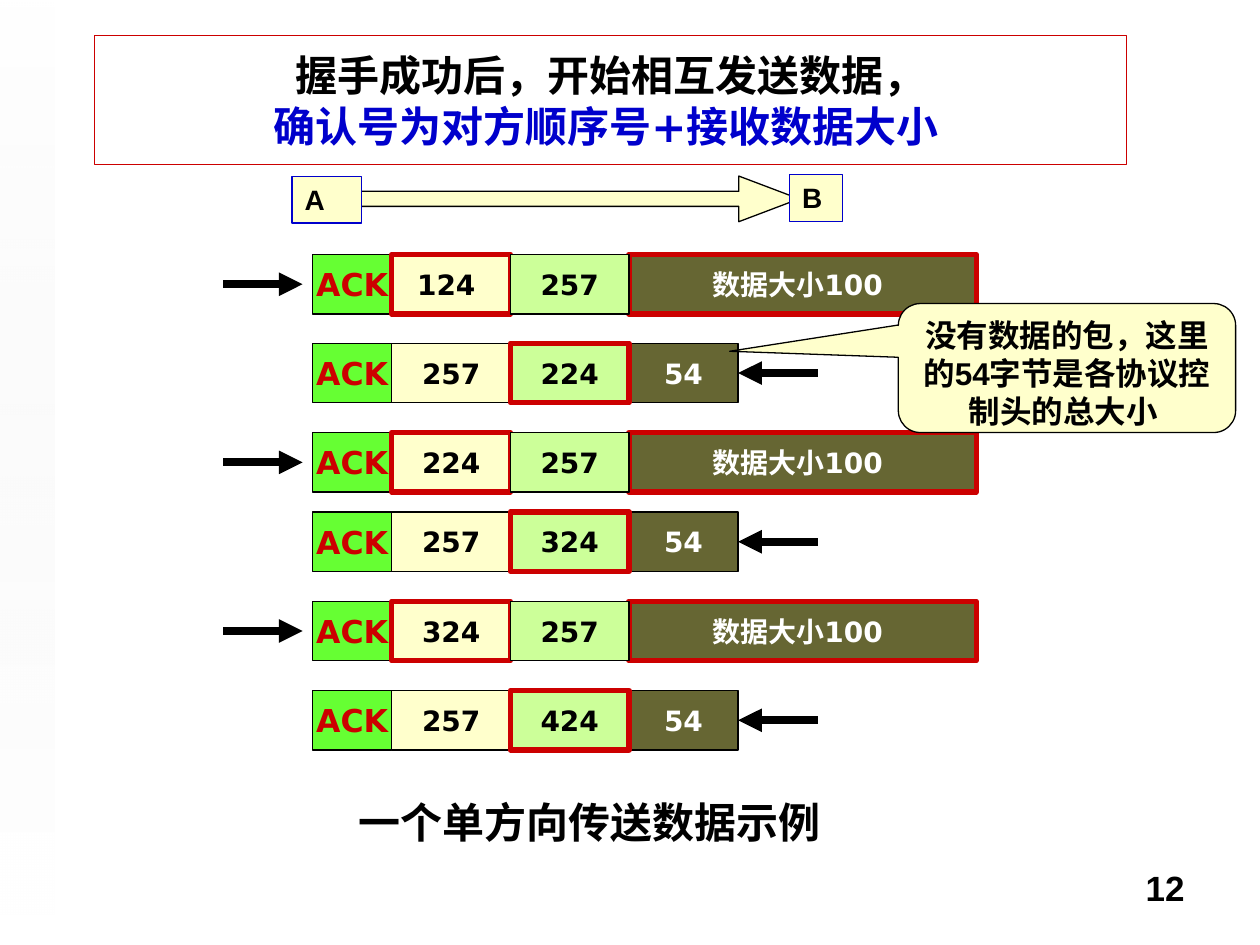
from dataclasses import dataclass

import pptx
import pptx.dml.color
import pptx.enum.shapes
import pptx.enum.text
import pptx.oxml
import pptx.oxml.ns
import pptx.shapes.autoshape
import pptx.shapes.connector
import pptx.slide
import pptx.util
from pptx.dml.color import RGBColor
from pptx.util import Cm

BLACK = RGBColor(0x00, 0x00, 0x00)
WHITE = RGBColor(0xFF, 0xFF, 0xFF)
RED = RGBColor(0xCC, 0x00, 0x00)
BLUE = RGBColor(0x00, 0x00, 0xCC)
CREAM = RGBColor(0xFF, 0xFF, 0xCC)
GREEN = RGBColor(0x66, 0xFF, 0x33)
PALE_GREEN = RGBColor(0xCC, 0xFF, 0x99)
OLIVE = RGBColor(0x66, 0x66, 0x33)
GREY = RGBColor(0xEA, 0xEA, 0xEA)

LATIN = "Arial"
WIDE = "DejaVu Sans"
SHAPES = pptx.enum.shapes.MSO_SHAPE
ANCHOR = pptx.enum.text.MSO_ANCHOR
ALIGN = pptx.enum.text.PP_ALIGN

ACK_LEFT, ACK_WIDTH = 6.3, 1.6
NUMBER_WIDTH = 2.39
SEQUENCE_LEFT = ACK_LEFT + ACK_WIDTH
CONFIRM_LEFT = SEQUENCE_LEFT + NUMBER_WIDTH
DATA_LEFT = CONFIRM_LEFT + NUMBER_WIDTH
ROW_HEIGHT = 1.2
ARROW_LENGTH = 1.6
FORWARD_ARROW_LEFT = 4.5


@dataclass(frozen=True)
class Box:
    left: float
    top: float
    width: float
    height: float


@dataclass(frozen=True)
class TextStyle:
    size: int
    font: str = WIDE
    color: RGBColor = BLACK
    align: ALIGN = ALIGN.CENTER
    anchor: ANCHOR = ANCHOR.MIDDLE
    wrap: bool = False


@dataclass(frozen=True)
class Packet:
    top: float
    sequence: str
    confirm: str
    forward: bool


NUMBER_STYLE = TextStyle(16)
DATA_STYLE = TextStyle(16, color=WHITE)
ACK_STYLE = TextStyle(18, color=RED)
HOST_STYLE = TextStyle(16, LATIN, align=ALIGN.LEFT, anchor=ANCHOR.TOP)

PACKETS = [
    Packet(5.13, "124 ", "257", True),
    Packet(6.92, "257", "224", False),
    Packet(8.72, "224", "257", True),
    Packet(10.32, "257", "324", False),
    Packet(12.12, "324", "257", True),
    Packet(13.92, "257", "424", False),
]


def write_text(shape: pptx.shapes.autoshape.Shape, text: str, style: TextStyle) -> None:
    frame = shape.text_frame
    frame.text = text
    frame.word_wrap = style.wrap
    frame.vertical_anchor = style.anchor
    for paragraph in frame.paragraphs:
        paragraph.alignment = style.align
        for run in paragraph.runs:
            run.font.name = style.font
            run.font.size = pptx.util.Pt(style.size)
            run.font.bold = True
            run.font.color.rgb = style.color


def add_block(slide: pptx.slide.Slide, box: Box, fill: RGBColor, line: RGBColor = BLACK,
              line_width: float = 0.75, kind: SHAPES = SHAPES.RECTANGLE,
              ) -> pptx.shapes.autoshape.Shape:
    shape = slide.shapes.add_shape(
        kind, Cm(box.left), Cm(box.top), Cm(box.width), Cm(box.height))
    shape.shadow.inherit = False
    shape.fill.solid()
    shape.fill.fore_color.rgb = fill
    shape.line.color.rgb = line
    shape.line.width = pptx.util.Pt(line_width)
    return shape


def add_label(slide: pptx.slide.Slide, box: Box, text: str, style: TextStyle) -> None:
    shape = slide.shapes.add_textbox(
        Cm(box.left), Cm(box.top), Cm(box.width), Cm(box.height))
    write_text(shape, text, style)


def add_arrow(slide: pptx.slide.Slide, start: float, end: float, y: float,
              ) -> pptx.shapes.connector.Connector:
    arrow = slide.shapes.add_connector(
        pptx.enum.shapes.MSO_CONNECTOR.STRAIGHT, Cm(start), Cm(y), Cm(end), Cm(y))
    arrow.line.color.rgb = BLACK
    arrow.line.width = pptx.util.Pt(4.5)
    line = arrow.line._get_or_add_ln()
    pptx.oxml.ns.qn("a:tailEnd")
    head = line.makeelement(pptx.oxml.ns.qn("a:tailEnd"), {"type": "triangle"})
    line.append(head)
    properties = arrow._element.spPr
    properties.append(properties.makeelement(pptx.oxml.ns.qn("a:effectLst"), {}))
    return arrow


def add_packet(slide: pptx.slide.Slide, packet: Packet) -> None:
    marked, plain = (RED, 3), (BLACK, 0.75)
    forward = packet.forward
    data_width = 7.0 if forward else 2.2
    data_text = "数据大小100 " if forward else "54"
    cells = [
        (DATA_LEFT, data_width, OLIVE, forward, data_text, DATA_STYLE),
        (ACK_LEFT, ACK_WIDTH, GREEN, False, "ACK", ACK_STYLE),
        (SEQUENCE_LEFT, NUMBER_WIDTH, CREAM, forward, packet.sequence, NUMBER_STYLE),
        (CONFIRM_LEFT, NUMBER_WIDTH, PALE_GREEN, not forward, packet.confirm, NUMBER_STYLE),
    ]
    blocks = []
    for left, width, fill, is_marked, text, style in cells:
        box = Box(left, packet.top, width, ROW_HEIGHT)
        block = add_block(slide, box, fill, *(marked if is_marked else plain))
        write_text(block, text, style)
        blocks.append(block)

    middle = packet.top + ROW_HEIGHT / 2
    if forward:
        add_arrow(slide, FORWARD_ARROW_LEFT, FORWARD_ARROW_LEFT + ARROW_LENGTH, middle)
    else:
        data_right = DATA_LEFT + data_width
        arrow = add_arrow(slide, data_right + ARROW_LENGTH, data_right, middle)
        arrow.end_connect(blocks[0], 3)


def add_side_band(slide: pptx.slide.Slide) -> None:
    band = add_block(slide, Box(0, 0, 1.1, 18.44), WHITE)
    band.rotation = 180
    band.line.fill.background()
    band.fill.gradient()
    band.fill.gradient_angle = 90
    for stop, color, opacity in zip(band.fill.gradient_stops, (GREY, WHITE), (0, 65000)):
        stop.color.rgb = color
        for element in stop._gs.iter(pptx.oxml.ns.qn("a:srgbClr")):
            alpha = element.makeelement(pptx.oxml.ns.qn("a:alpha"), {"val": str(opacity)})
            element.append(alpha)


def add_title(slide: pptx.slide.Slide) -> None:
    title = add_block(slide, Box(1.91, 0.72, 20.8, 2.6), WHITE, RED)
    write_text(title, "握手成功后，开始相互发送数据，\n确认号为对方顺序号+接收数据大小 ",
               TextStyle(24))
    title.text_frame.paragraphs[1].runs[0].font.color.rgb = BLUE


def add_hosts(slide: pptx.slide.Slide) -> None:
    arrow = add_block(slide, Box(7.14, 3.55, 8.97, 0.92), CREAM, kind=SHAPES.RIGHT_ARROW)
    arrow.adjustments[0] = 0.33
    arrow.adjustments[1] = 1.32
    for name, box in (("A", Box(5.89, 3.56, 1.4, 0.94)), ("B", Box(15.92, 3.52, 1.07, 0.94))):
        write_text(add_block(slide, box, CREAM, BLUE), name, HOST_STYLE)


def add_callout(slide: pptx.slide.Slide) -> None:
    callout = add_block(slide, Box(18.11, 6.12, 6.8, 2.6), CREAM,
                        kind=SHAPES.ROUNDED_RECTANGULAR_CALLOUT)
    for index, value in enumerate((-1.0, -0.13, 0.17)):
        callout.adjustments[index] = value
    write_text(callout, "没有数据的包，这里的54字节是各协议控制头的总大小 ",
               TextStyle(18, LATIN, anchor=ANCHOR.TOP, wrap=True))


def main() -> None:
    presentation = pptx.Presentation()
    presentation.slide_width = Cm(25.4)
    presentation.slide_height = Cm(19.05)
    slide = presentation.slides.add_slide(presentation.slide_layouts[6])
    add_side_band(slide)
    add_label(slide, Box(18.21, 17.35, 5.92, 1.32), "12",
              TextStyle(20, LATIN, align=ALIGN.RIGHT, anchor=ANCHOR.TOP, wrap=True))
    add_title(slide)
    for packet in PACKETS:
        add_packet(slide, packet)
    add_label(slide, Box(6.55, 15.93, 10.67, 1.27), "一个单方向传送数据示例",
              TextStyle(24, LATIN, anchor=ANCHOR.TOP))
    add_hosts(slide)
    add_callout(slide)
    presentation.save("out.pptx")


if __name__ == "__main__":
    main()
